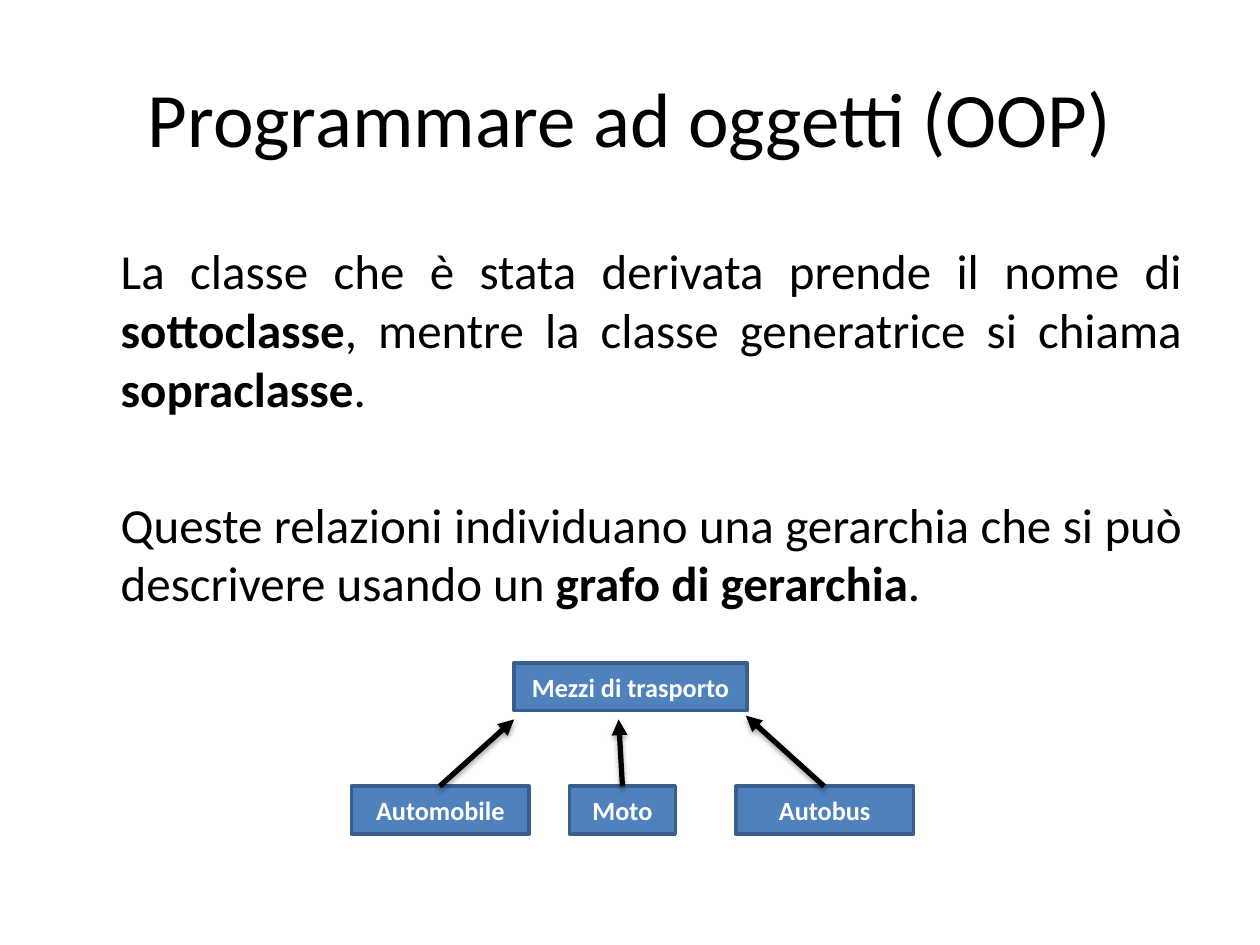
import dataclasses
import typing

import pptx
import pptx.dml.color
import pptx.enum.shapes
import pptx.enum.text
import pptx.oxml
import pptx.oxml.ns
import pptx.util
from pptx.util import Inches

Align = pptx.enum.text.PP_ALIGN
Anchor = pptx.enum.text.MSO_ANCHOR


@dataclasses.dataclass(frozen=True)
class Theme:
    font: str = "Calibri"
    ink: str = "000000"
    node_fill: str = "4F81BD"
    node_line: str = "3A5F8C"
    node_text: str = "FFFFFF"
    title_size: float = 44
    body_size: float = 28
    node_size: float = 15
    paragraph_gap: float = 44
    node_border: float = 2
    arrow_width: float = 3


class ClassNode(typing.NamedTuple):
    name: str
    left: float
    top: float
    width: float


class Arrow(typing.NamedTuple):
    start: tuple[float, float]
    end: tuple[float, float]


class Phrase(typing.NamedTuple):
    text: str
    bold: bool = False


THEME = Theme()
NODE_HEIGHT = 0.38
SUBCLASS_TOP = 6.24

EXPLANATION = [
    [
        Phrase("La classe che è stata derivata prende il nome di "),
        Phrase("sottoclasse", True),
        Phrase(", mentre la classe generatrice si chiama "),
        Phrase("sopraclasse", True),
        Phrase("."),
    ],
    [
        Phrase("Queste relazioni individuano una gerarchia che si può descrivere usando un "),
        Phrase("grafo di gerarchia", True),
        Phrase("."),
    ],
]
HIERARCHY = [
    ClassNode("Mezzi di trasporto", 4.08, 5.26, 1.85),
    ClassNode("Automobile", 2.79, SUBCLASS_TOP, 1.41),
    ClassNode("Moto", 4.52, SUBCLASS_TOP, 0.84),
    ClassNode("Autobus", 5.84, SUBCLASS_TOP, 1.41),
]
INHERITANCE = [
    Arrow((3.49, SUBCLASS_TOP), (4.08, 5.71)),
    Arrow((6.54, SUBCLASS_TOP), (5.92, 5.68)),
    Arrow((4.94, SUBCLASS_TOP), (4.91, 5.71)),
]


def rgb(color: str) -> pptx.dml.color.RGBColor:
    return pptx.dml.color.RGBColor.from_string(color)


def add_phrases(paragraph, phrases: list[Phrase], size: float, color: str, align) -> None:
    paragraph.alignment = align
    for phrase in phrases:
        run = paragraph.add_run()
        run.text = phrase.text
        run.font.name = THEME.font
        run.font.size = pptx.util.Pt(size)
        run.font.bold = phrase.bold
        run.font.color.rgb = rgb(color)


def draw_text(slide, box: tuple[float, float, float, float],
              paragraphs: list[list[Phrase]], size: float, align, anchor) -> None:
    frame = slide.shapes.add_textbox(*map(Inches, box)).text_frame
    frame.word_wrap = True
    frame.vertical_anchor = anchor
    for index, phrases in enumerate(paragraphs):
        paragraph = frame.add_paragraph() if index else frame.paragraphs[0]
        if index:
            paragraph.space_before = pptx.util.Pt(THEME.paragraph_gap)
        add_phrases(paragraph, phrases, size, THEME.ink, align)


def draw_node(slide, node: ClassNode) -> None:
    box = slide.shapes.add_shape(
        pptx.enum.shapes.MSO_SHAPE.RECTANGLE,
        *map(Inches, (node.left, node.top, node.width, NODE_HEIGHT)),
    )
    box.shadow.inherit = False
    box.fill.solid()
    box.fill.fore_color.rgb = rgb(THEME.node_fill)
    box.line.color.rgb = rgb(THEME.node_line)
    box.line.width = pptx.util.Pt(THEME.node_border)
    box.text_frame.word_wrap = True
    box.text_frame.vertical_anchor = Anchor.MIDDLE
    add_phrases(box.text_frame.paragraphs[0], [Phrase(node.name, True)],
                THEME.node_size, THEME.node_text, Align.CENTER)


def draw_arrow(slide, arrow: Arrow) -> None:
    connector = slide.shapes.add_connector(
        pptx.enum.shapes.MSO_CONNECTOR.STRAIGHT,
        *map(Inches, arrow.start + arrow.end),
    )
    connector.line.color.rgb = rgb(THEME.ink)
    connector.line.width = pptx.util.Pt(THEME.arrow_width)
    namespace = pptx.oxml.ns.nsdecls("a")
    connector.line._get_or_add_ln().append(
        pptx.oxml.parse_xml(f'<a:tailEnd {namespace} type="triangle"/>'))
    blur, distance = pptx.util.Pt(3.1), pptx.util.Pt(1.8)
    connector._element.spPr.append(pptx.oxml.parse_xml(
        f'<a:effectLst {namespace}>'
        f'<a:outerShdw blurRad="{blur}" dist="{distance}" dir="5400000" rotWithShape="0">'
        f'<a:srgbClr val="{THEME.ink}"><a:alpha val="35000"/></a:srgbClr>'
        '</a:outerShdw></a:effectLst>'))


def main() -> None:
    presentation = pptx.Presentation()
    presentation.slide_width = Inches(10)
    presentation.slide_height = Inches(7.5)
    slide = presentation.slides.add_slide(presentation.slide_layouts[6])

    draw_text(slide, (0.5, 0.3, 9, 1.25), [[Phrase("Programmare ad oggetti (OOP)")]],
              THEME.title_size, Align.CENTER, Anchor.MIDDLE)
    draw_text(slide, (0.86, 1.86, 8.62, 4.12), EXPLANATION,
              THEME.body_size, Align.JUSTIFY, Anchor.TOP)
    for node in HIERARCHY:
        draw_node(slide, node)
    for arrow in INHERITANCE:
        draw_arrow(slide, arrow)

    presentation.save("out.pptx")


if __name__ == "__main__":
    main()
